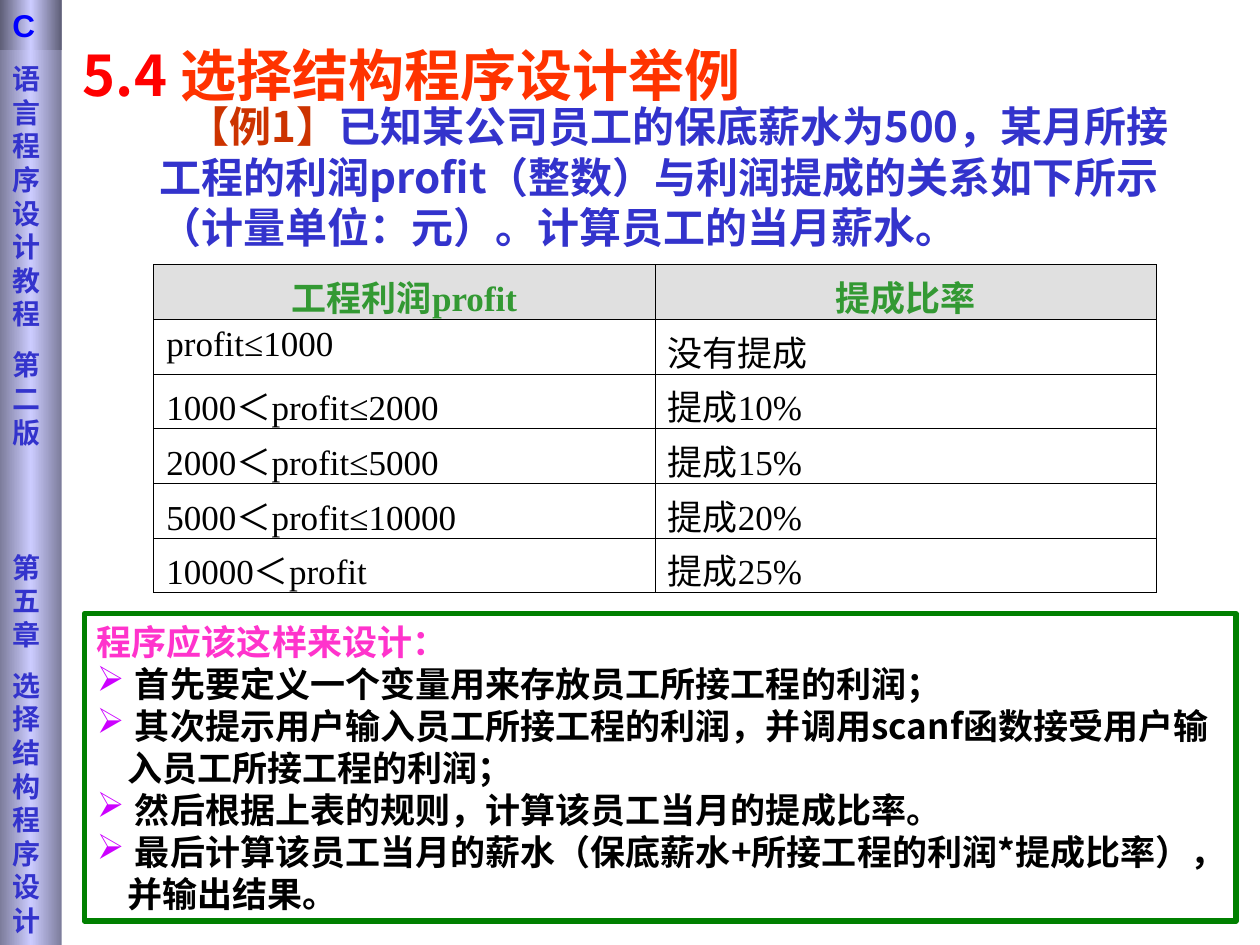
from lxml import etree
from pptx import Presentation
from pptx.dml.color import RGBColor
from pptx.enum.shapes import MSO_SHAPE as SHAPE
from pptx.enum.text import MSO_ANCHOR as ANCHOR, PP_ALIGN as ALIGN
from pptx.oxml.ns import qn
from pptx.util import Inches, Pt

COLORS = {
    "red": "FF0000", "orange": "FF3300", "rust": "CC3300", "blue": "3333CC",
    "bright": "0000FF", "green": "339933", "frame": "008000", "pink": "FF33CC",
    "violet": "CC00FF", "black": "000000", "header": "E0E0E0",
    "lilac": "CCCCFF", "slate": "7C7C9B", "dusk": "5E5E76",
}
CJK, SERIF, SANS, DEJAVU = "Noto Sans CJK SC", "Times New Roman", "Arial", "DejaVu Sans"

TITLE = [("5.4 ", "red", CJK), ("选择结构程序设计举例", "orange", SERIF)]
PROBLEM = [
    ("【例1】", "rust", CJK),
    ("已知某公司员工的保底薪水为500，某月所接工程的利润profit（整数）与利润提成的关系如下所示"
     "（计量单位：元）。计算员工的当月薪水。", "blue", CJK),
]
RATES = [
    ("工程利润profit", "提成比率"),
    ("profit≤1000", "没有提成"),
    ("1000＜profit≤2000", "提成10%"),
    ("2000＜profit≤5000", "提成15%"),
    ("5000＜profit≤10000", "提成20%"),
    ("10000＜profit", "提成25%"),
]
PLAN_HEAD = "程序应该这样来设计："
PLAN = [
    "首先要定义一个变量用来存放员工所接工程的利润；",
    "其次提示用户输入员工所接工程的利润，并调用scanf函数接受用户输入员工所接工程的利润；",
    "然后根据上表的规则，计算该员工当月的提成比率。",
    "最后计算该员工当月的薪水（保底薪水+所接工程的利润*提成比率），并输出结果。",
]
SIDEBAR = [("语言程序设计教程", 0), ("第二版", 10), ("第五章", 58), ("选择结构程序设计", 10)]


def rgb(name):
    return RGBColor.from_string(COLORS[name])


def add_xml(parent, tag, **attrs):
    return etree.SubElement(parent, qn(tag), attrs)


def write(tf, runs, size, bold=True, align=ALIGN.LEFT, before=0, margin=0, indent=0,
          bullet=None, first=False):
    p = tf.paragraphs[0] if first else tf.add_paragraph()
    p.alignment = align
    p.space_before = Pt(before)
    pPr = p._p.get_or_add_pPr()
    pPr.set("marL", str(Inches(margin)))
    pPr.set("indent", str(Inches(indent)))
    if bullet:
        add_xml(add_xml(pPr, "a:buClr"), "a:srgbClr", val=COLORS[bullet])
        add_xml(pPr, "a:buChar", char="➢")
    for text, color, face in runs:
        r = p.add_run()
        r.text = text
        r.font.size, r.font.bold, r.font.name = Pt(size), bold, face
        r.font.color.rgb = rgb(color)


def frame(sp, anchor=ANCHOR.TOP, top=0.05):
    tf = sp.text_frame
    tf.word_wrap = True
    tf.vertical_anchor = anchor
    tf.margin_top = Inches(top)
    return tf


def add_box(slide, *at):
    return slide.shapes.add_textbox(*map(Inches, at))


def add_rect(slide, *at):
    sp = slide.shapes.add_shape(SHAPE.RECTANGLE, *map(Inches, at))
    sp.shadow.inherit = False
    return sp


def add_bar(slide, height, edge):
    sp = add_rect(slide, 0, 0, 0.49, height)
    sp.line.fill.background()
    sp.fill.gradient()
    sp.fill.gradient_angle = 0
    stops = sp._element.spPr.find(qn("a:gradFill")).find(qn("a:gsLst"))
    for stop in list(stops):
        stops.remove(stop)
    for pos, color in ((0, edge), (50, "lilac"), (100, edge)):
        gs = add_xml(stops, "a:gs", pos=str(pos * 1000))
        add_xml(gs, "a:srgbClr", val=COLORS[color])
    return sp


def style_cell(cell, header):
    tcPr = cell._tc.get_or_add_tcPr()
    for side in ("a:lnL", "a:lnR", "a:lnT", "a:lnB"):
        ln = add_xml(tcPr, side, w=str(Pt(0.45)))
        add_xml(add_xml(ln, "a:solidFill"), "a:srgbClr", val=COLORS["black"])
    if header:
        cell.fill.solid()
        cell.fill.fore_color.rgb = rgb("header")
    else:
        cell.fill.background()


def add_rates(slide):
    rows, cols = len(RATES), len(RATES[0])
    at = map(Inches, (1.22, 2.1, 7.96, 2.6))
    table = slide.shapes.add_table(rows, cols, *at).table
    for i, row in enumerate(RATES):
        for j, text in enumerate(row):
            cell, header = table.cell(i, j), i == 0
            style_cell(cell, header)
            write(cell.text_frame, [(text, "green" if header else "black", SERIF)], 20,
                  bold=header, align=ALIGN.CENTER if header else ALIGN.LEFT, first=True)


def main():
    prs = Presentation()
    prs.slide_width, prs.slide_height = Inches(10), Inches(7.5)
    slide = prs.slides.add_slide(prs.slide_layouts[6])

    write(frame(add_box(slide, 0.56, 0.27, 9.09, 0.71)), TITLE, 32, first=True)
    write(frame(add_box(slide, 0.67, 0.75, 8.98, 1.3), ANCHOR.MIDDLE), PROBLEM, 24,
          margin=0.5, indent=0.22, first=True)
    add_rates(slide)

    plan = add_rect(slide, 0.67, 4.87, 9.14, 2.44)
    plan.fill.background()
    plan.line.color.rgb, plan.line.width = rgb("frame"), Pt(3)
    tf = frame(plan, ANCHOR.MIDDLE)
    write(tf, [(PLAN_HEAD, "pink", CJK)], 20, first=True)
    for step in PLAN:
        write(tf, [(" " + step, "black", CJK)], 20, margin=0.24, indent=-0.24, bullet="violet")

    tf = frame(add_bar(slide, 7.5, "slate"), top=0.49)
    for i, (text, before) in enumerate(SIDEBAR):
        write(tf, [(text, "blue", DEJAVU)], 16, before=before, first=i == 0)
    write(frame(add_bar(slide, 0.4, "dusk")), [("C", "bright", SANS)], 18, first=True)

    prs.save("out.pptx")


if __name__ == "__main__":
    main()
